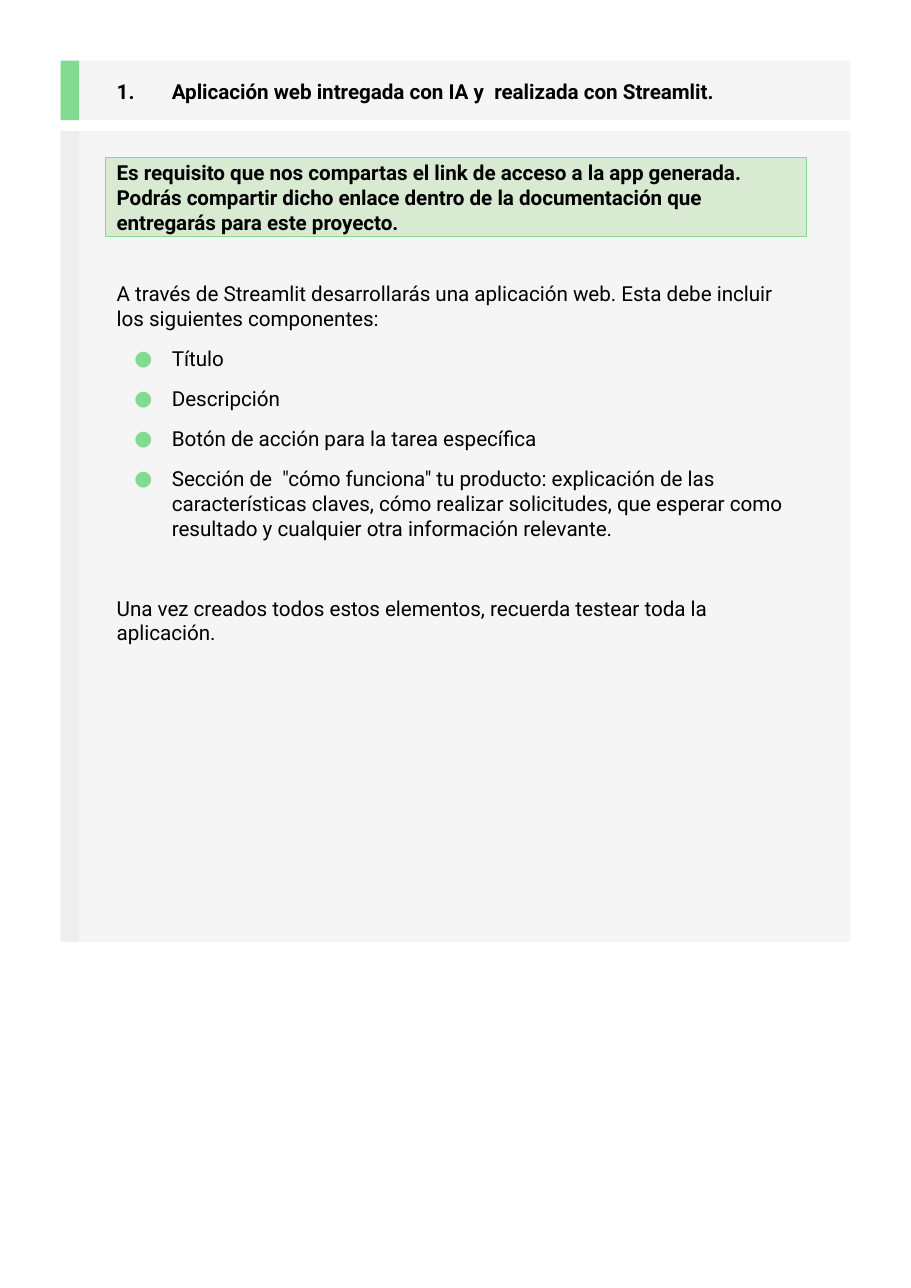
from dataclasses import dataclass

from lxml.etree import SubElement
from pptx import Presentation
from pptx.dml.color import RGBColor
from pptx.enum.shapes import MSO_SHAPE as Shape
from pptx.enum.text import MSO_ANCHOR as Anchor, MSO_AUTO_SIZE as Fit, PP_ALIGN as Align
from pptx.oxml.ns import qn
from pptx.util import Inches, Pt


@dataclass(frozen=True)
class Theme:
    font: str = "Roboto"
    size: float = 13.5
    ink: str = "000000"
    panel: str = "F5F5F5"
    edge: str = "EEEEEE"
    green: str = "82DB91"
    mint: str = "D9EAD3"
    inset: float = 0.1


def color(code):
    return RGBColor.from_string(code)


def write(frame, text, theme, bold=False, before=0, after=0, bullet=None, tab=None):
    """Add one left-aligned paragraph, using the first one while it is empty."""
    para = frame.paragraphs[0]
    if para.runs:
        para = frame.add_paragraph()
    para.alignment = Align.LEFT
    para.line_spacing = 1.0
    para.space_before, para.space_after = Pt(before), Pt(after)
    run = para.add_run()
    run.text = text
    font = run.font
    font.name, font.size, font.bold = theme.font, Pt(theme.size), bold
    font.color.rgb = color(theme.ink)

    props = para._p.get_or_add_pPr()
    props.set("marL", str(Inches(0.5 if bullet else 0)))
    props.set("indent", str(Inches(-0.34 if bullet else 0)))
    if bullet:
        tint = SubElement(props, qn("a:buClr"))
        SubElement(tint, qn("a:srgbClr"), val=theme.green)
        SubElement(props, qn("a:buFont"), typeface=theme.font)
        SubElement(props, qn("a:buChar"), char=bullet)
    else:
        SubElement(props, qn("a:buNone"))
    if tab:
        stops = SubElement(props, qn("a:tabLst"))
        SubElement(stops, qn("a:tab"), pos=str(Inches(tab)), algn="l")


class Page:
    def __init__(self, deck, theme):
        self.theme = theme
        self.slide = deck.slides.add_slide(deck.slide_layouts[1])

    def rect(self, home, box, fill, line=None):
        shape = home.add_shape(Shape.RECTANGLE, *map(Inches, box))
        shape.shadow.inherit = False
        shape.fill.solid()
        shape.fill.fore_color.rgb = color(fill)
        if line:
            shape.line.color.rgb = color(line)
            shape.line.width = Pt(0.75)
        else:
            shape.line.fill.background()
        return shape

    def panel(self, top, height, strip):
        """Draw a grey panel with a coloured strip on its left edge."""
        group = self.slide.shapes.add_group_shape().shapes
        self.rect(group, (0.55, top, 7.17, height), self.theme.panel)
        self.rect(group, (0.55, top, 0.17, height), strip)

    def frame(self, shape, anchor):
        frame = shape.text_frame
        frame.word_wrap = True
        frame.auto_size = Fit.NONE
        frame.vertical_anchor = anchor
        gap = Inches(self.theme.inset)
        frame.margin_left = frame.margin_right = gap
        frame.margin_top = frame.margin_bottom = gap
        return frame

    def holder(self, shape, box, anchor):
        """Move a placeholder to its box, in front of the panels."""
        shape.left, shape.top, shape.width, shape.height = map(Inches, box)
        shape.element.getparent().append(shape.element)
        return self.frame(shape, anchor)

    def title(self, text, box):
        frame = self.holder(self.slide.shapes.title, box, Anchor.MIDDLE)
        write(frame, text, self.theme, bold=True, after=12, tab=1)

    def body(self, box, intro, items, close):
        frame = self.holder(self.slide.placeholders[1], box, Anchor.TOP)
        write(frame, intro, self.theme)
        for item in items:
            write(frame, item, self.theme, before=10, bullet="●")
        write(frame, close, self.theme, before=36, after=10)

    def callout(self, text, box):
        shape = self.rect(self.slide.shapes, box, self.theme.mint, self.theme.green)
        write(self.frame(shape, Anchor.MIDDLE), text, self.theme, bold=True, after=10)


def main():
    deck = Presentation()
    deck.slide_width, deck.slide_height = Inches(8.27), Inches(11.69)
    theme = Theme()
    page = Page(deck, theme)

    page.panel(1.19, 7.36, theme.edge)
    page.panel(0.55, 0.54, theme.green)
    page.title(
        "1.\tAplicación web intregada con IA y  realizada con Streamlit.",
        (0.96, 0.58, 6.52, 0.49),
    )
    page.body(
        (0.96, 2.45, 6.36, 3.54),
        "A través de Streamlit desarrollarás una aplicación web. "
        "Esta debe incluir los siguientes componentes:",
        [
            "Título",
            "Descripción",
            "Botón de acción para la tarea específica",
            'Sección de  "cómo funciona" tu producto: explicación de las '
            "características claves, cómo realizar solicitudes, que esperar como "
            "resultado y cualquier otra información relevante.",
        ],
        "Una vez creados todos estos elementos, recuerda testear toda la aplicación.",
    )
    page.callout(
        "Es requisito que nos compartas el link de acceso a la app generada. "
        "Podrás compartir dicho enlace dentro de la documentación que "
        "entregarás para este proyecto.",
        (0.96, 1.43, 6.36, 0.72),
    )
    deck.save("out.pptx")


if __name__ == "__main__":
    main()
